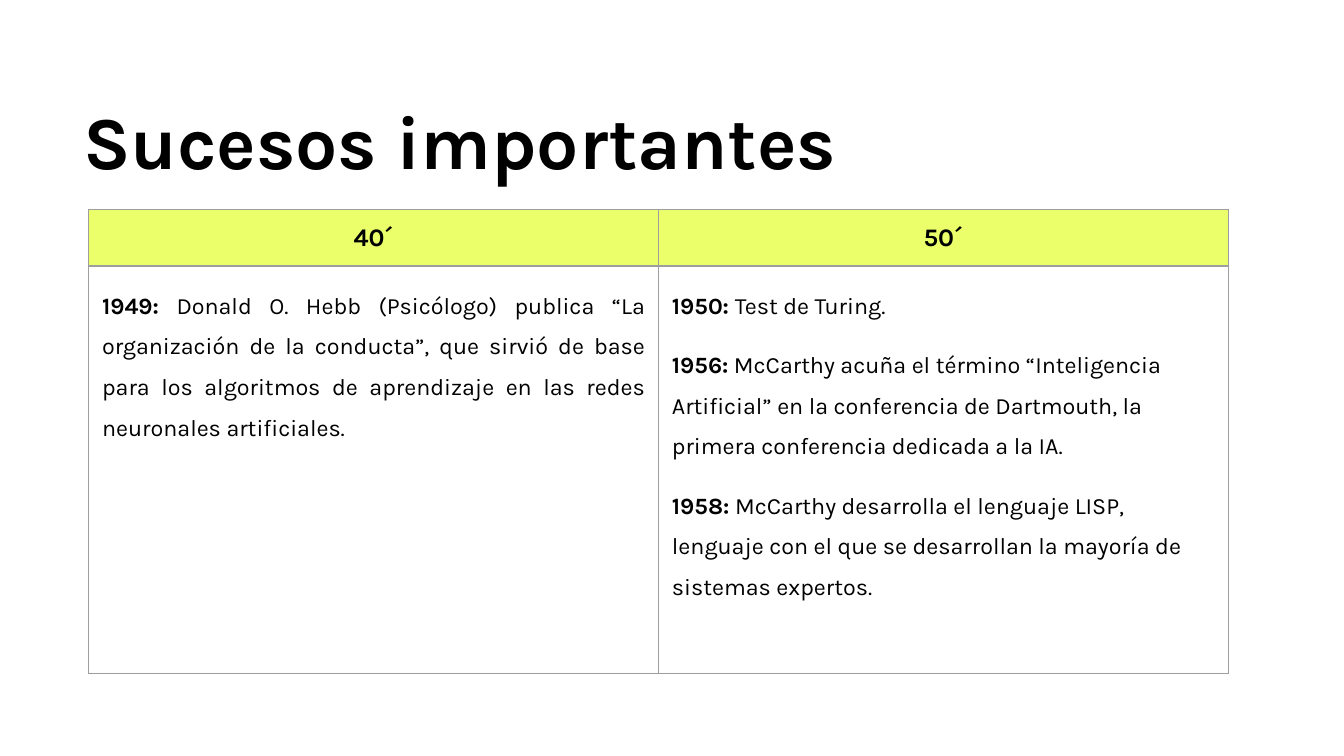
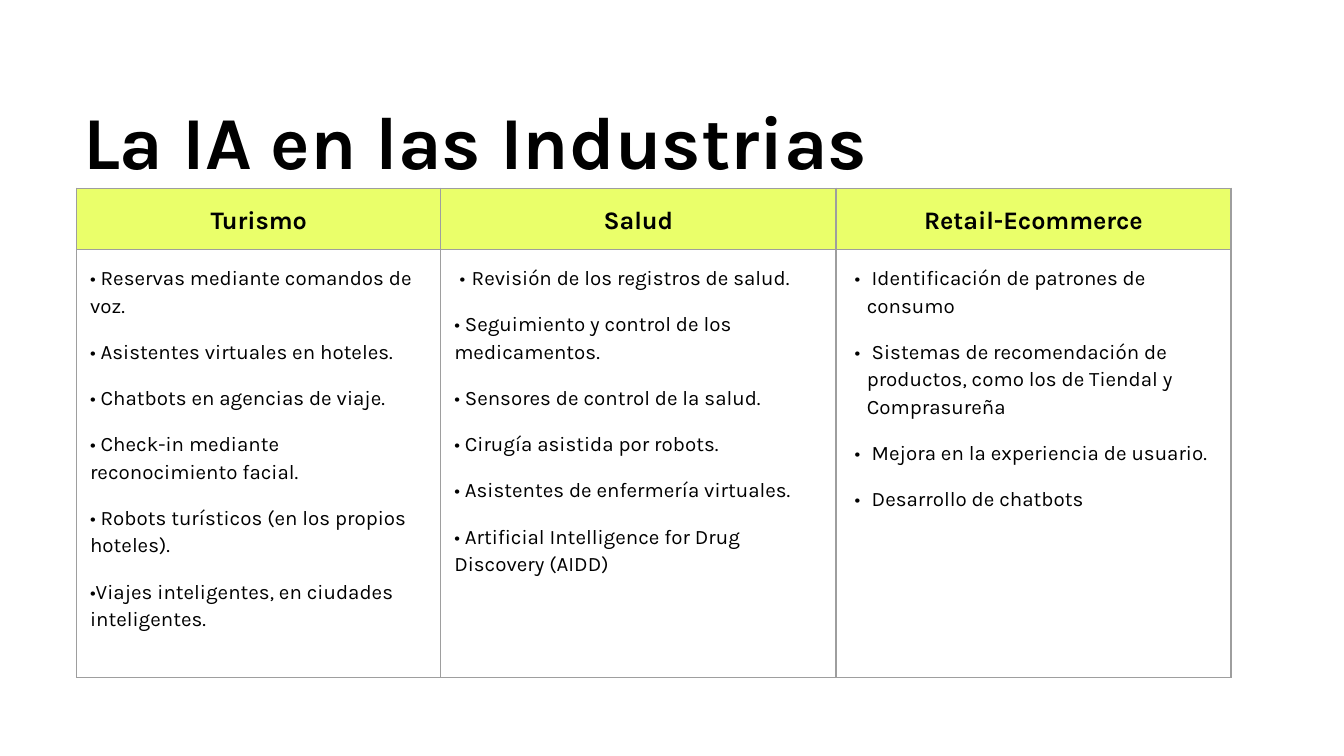
import pptx
import pptx.dml.color
import pptx.enum.text
import pptx.oxml
import pptx.oxml.ns
import pptx.util

BLACK = pptx.dml.color.RGBColor(0x00, 0x00, 0x00)
LIME = pptx.dml.color.RGBColor(0xEA, 0xFF, 0x6A)
GREY = pptx.dml.color.RGBColor(0x9E, 0x9E, 0x9E)
ALIGN = pptx.enum.text.PP_ALIGN
Inches = pptx.util.Inches
Pt = pptx.util.Pt

FONT_NAME = "Karla"
SLIDE_WIDTH = Inches(10)
SLIDE_HEIGHT = SLIDE_WIDTH * 9 // 16
TITLE_BOX = (0.52, 0.51, 8.58, 0.76)
MARGINS = {f"margin_{side}": Inches(0.1) for side in ("left", "top", "right", "bottom")}
PARAGRAPH_GAP = Pt(10)
BORDER_WIDTH = Pt(0.75)
BULLET_MARGIN, BULLET_INDENT = Inches(0.13), Inches(-0.09)

TITLE_FONT = {"size": Pt(40), "bold": True}
HEADER_FONT = {"size": Pt(13.5), "bold": True}
EVENT_FONT = {"size": Pt(12.5), "bold": False}
INDUSTRY_FONT = {"size": Pt(11), "bold": False}

DECADES = {
    "40´": [
        ("1949:", " Donald O. Hebb (Psicólogo) publica “La organización de la conducta”, que sirvió de base para los algoritmos de aprendizaje en las redes neuronales artificiales."),
    ],
    "50´": [
        ("1950: ", "Test de Turing."),
        ("1956:", " McCarthy acuña el término “Inteligencia Artificial” en la conferencia de Dartmouth, la primera conferencia dedicada a la IA."),
        ("1958: ", "McCarthy desarrolla el lenguaje LISP, lenguaje con el que se desarrollan la mayoría de sistemas expertos."),
    ],
}

INDUSTRIES = {
    "Turismo": [
        "• Reservas mediante comandos de voz.",
        "• Asistentes virtuales en hoteles.",
        "• Chatbots en agencias de viaje.",
        "• Check-in mediante reconocimiento facial.",
        "• Robots turísticos (en los propios hoteles).",
        "•Viajes inteligentes, en ciudades inteligentes.",
    ],
    "Salud": [
        "Revisión de los registros de salud.",
        "• Seguimiento y control de los medicamentos.",
        "• Sensores de control de la salud.",
        "• Cirugía asistida por robots.",
        "• Asistentes de enfermería virtuales.",
        "• Artificial Intelligence for Drug Discovery (AIDD)",
    ],
    "Retail-Ecommerce": [
        " Identificación de patrones de consumo",
        " Sistemas de recomendación de productos, como los de Tiendal y Comprasureña",
        " Mejora en la experiencia de usuario.",
        " Desarrollo de chatbots",
    ],
}


def apply_format(target, values):
    for name, value in values.items():
        setattr(target, name, value)


def add_run(paragraph, text, font_values):
    run = paragraph.add_run()
    run.text = text
    apply_format(run.font, {"name": FONT_NAME, **font_values})
    run.font.color.rgb = BLACK


def add_xml(parent, markup):
    namespace = pptx.oxml.ns.nsdecls("a")
    parent.append(pptx.oxml.parse_xml(markup.replace("NS", namespace, 1)))


def add_bullet(paragraph):
    properties = paragraph._p.get_or_add_pPr()
    properties.set("marL", str(BULLET_MARGIN))
    properties.set("indent", str(BULLET_INDENT))
    add_xml(properties, f'<a:buClr NS><a:srgbClr val="{BLACK}"/></a:buClr>')
    add_xml(properties, f'<a:buFont NS typeface="{FONT_NAME}"/>')
    add_xml(properties, '<a:buChar NS char="•"/>')


def style_cell(cell, fill_color=None):
    apply_format(cell, MARGINS)
    properties = cell._tc.get_or_add_tcPr()
    for side in "LRTB":
        add_xml(properties, f'<a:ln{side} NS w="{BORDER_WIDTH}"><a:solidFill>'
                            f'<a:srgbClr val="{GREY}"/></a:solidFill></a:ln{side}>')
    if fill_color is None:
        cell.fill.background()
    else:
        cell.fill.solid()
        cell.fill.fore_color.rgb = fill_color


def cell_paragraphs(cell, items):
    for index, item in enumerate(items):
        paragraph = cell.text_frame.paragraphs[0] if index == 0 else cell.text_frame.add_paragraph()
        if index:
            paragraph.space_before = PARAGRAPH_GAP
        yield paragraph, item


def fill_events(cell, events):
    for index, (paragraph, (year, event)) in enumerate(cell_paragraphs(cell, events)):
        apply_format(paragraph, {
            "alignment": ALIGN.LEFT if index else ALIGN.JUSTIFY,
            "line_spacing": 1.5,
        })
        add_run(paragraph, year, {**EVENT_FONT, "bold": True})
        add_run(paragraph, event, EVENT_FONT)
    paragraph.space_after = PARAGRAPH_GAP


def fill_uses(cell, uses):
    for paragraph, use in cell_paragraphs(cell, uses):
        paragraph.line_spacing = 1.15
        if not use.startswith("•"):
            add_bullet(paragraph)
        add_run(paragraph, use, INDUSTRY_FONT)
    if use.startswith("•"):
        paragraph.space_after = PARAGRAPH_GAP


def add_title(slide, box, text):
    text_frame = slide.shapes.add_textbox(*map(Inches, box)).text_frame
    apply_format(text_frame, {"word_wrap": True, **MARGINS})
    paragraph = text_frame.paragraphs[0]
    paragraph.line_spacing = 1.15
    add_run(paragraph, text, TITLE_FONT)


def add_topic_table(slide, origin, widths, heights, topics, fill_body, header_spacing):
    left, top = origin
    box = map(Inches, (left, top, sum(widths), sum(heights)))
    table = slide.shapes.add_table(len(heights), len(widths), *box).table
    apply_format(table, {"first_row": False, "horz_banding": False})
    for row, height in zip(table.rows, heights):
        row.height = Inches(height)
    for index, (width, (heading, items)) in enumerate(zip(widths, topics.items())):
        table.columns[index].width = Inches(width)
        header, body = table.cell(0, index), table.cell(1, index)
        style_cell(header, LIME)
        style_cell(body)
        paragraph = header.text_frame.paragraphs[0]
        apply_format(paragraph, {"alignment": ALIGN.CENTER, "line_spacing": header_spacing})
        add_run(paragraph, heading, HEADER_FONT)
        fill_body(body, items)


def add_table_slide(presentation, title, **table_values):
    slide = presentation.slides.add_slide(presentation.slide_layouts[6])
    add_topic_table(slide, **table_values)
    add_title(slide, TITLE_BOX, title)


def main():
    presentation = pptx.Presentation()
    apply_format(presentation, {"slide_width": SLIDE_WIDTH, "slide_height": SLIDE_HEIGHT})
    add_table_slide(presentation, "Sucesos importantes", origin=(0.66, 1.56),
                    widths=[4.24] * 2, heights=[0.39, 3.03], topics=DECADES,
                    fill_body=fill_events, header_spacing=1.0)
    add_table_slide(presentation, "La IA en las Industrias", origin=(0.57, 1.4),
                    widths=[2.71, 2.94, 2.94], heights=[0.41, 3.18], topics=INDUSTRIES,
                    fill_body=fill_uses, header_spacing=1.15)
    presentation.save("out.pptx")


if __name__ == "__main__":
    main()
